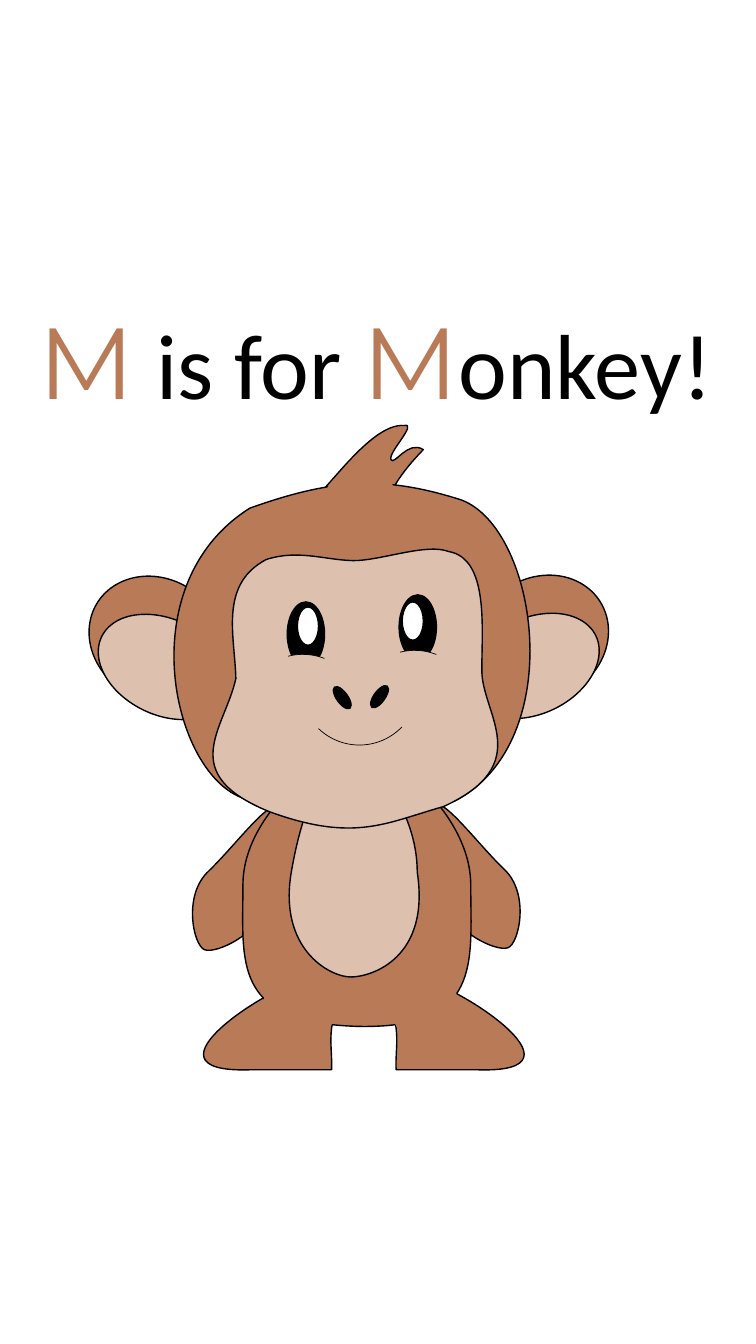
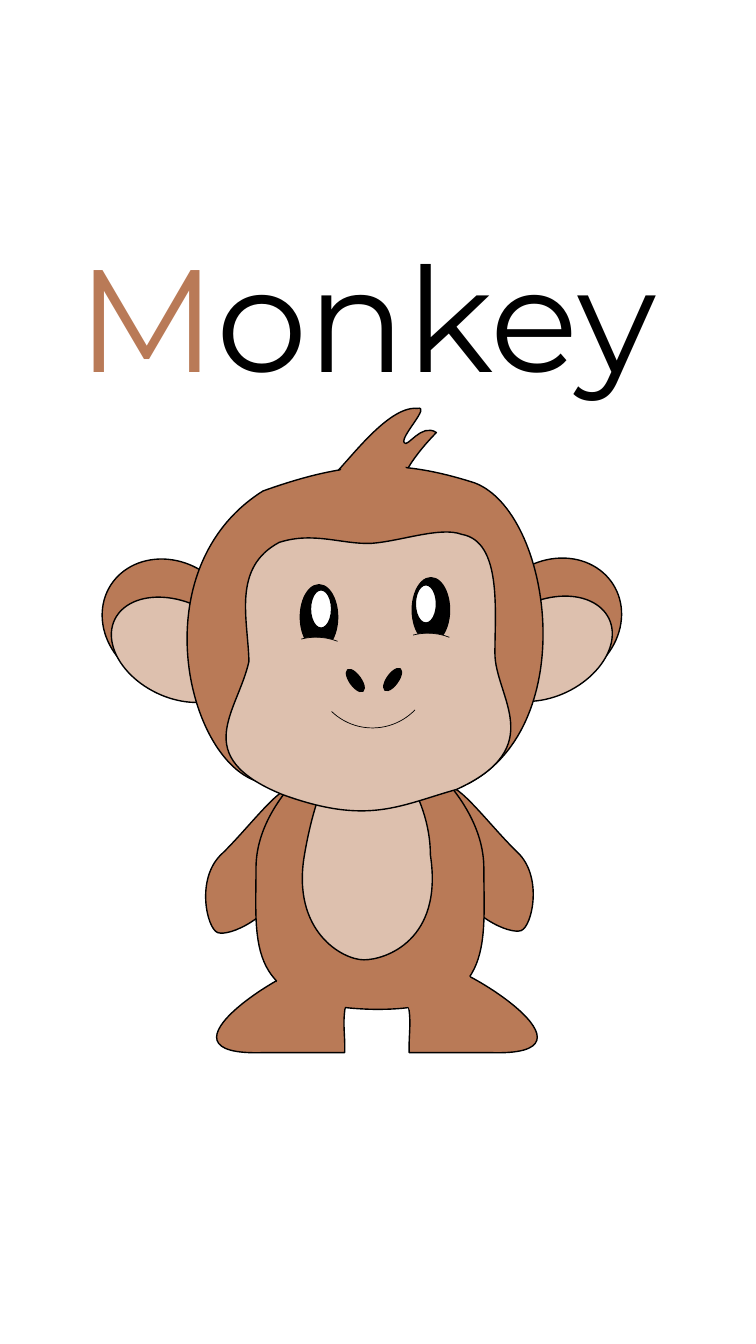
from dataclasses import dataclass
from itertools import islice
from typing import Any

from pptx import Presentation
from pptx.dml.color import RGBColor
from pptx.enum.shapes import MSO_SHAPE as SHAPE
from pptx.enum.text import MSO_AUTO_SIZE, PP_ALIGN
from pptx.oxml.xmlchemy import OxmlElement
from pptx.util import Inches, Pt

BROWN, TAN, BLACK, WHITE = "B97A57", "DDC0AE", "000000", "FFFFFF"
DISPLAY, BODY = "Montserrat", "Calibri"

# Outlines: a start point, then lines (x, y) or cubic curves (x1, y1, x2, y2, x, y).
ARM = [(5, 8.62), (4.74, 8.37, 4.42, 7.93, 4.3, 7.97), (4.19, 8.01, 4.11, 8.47, 4.32, 8.87),
       (4.52, 9.26, 4.92, 9.44, 5.04, 9.4), (5.15, 9.36, 5.26, 8.86, 5, 8.62)]
FOOT = [(4.21, 9.74), (3.83, 9.88), (3.99, 10.21, 3.92, 10.37, 3.93, 10.61), (4.72, 10.61),
        (5.97, 10.66, 4.41, 9.7, 4.21, 9.74)]
TORSO = [(2.41, 8.78), (2.41, 8, 3.37, 7.4, 3.54, 7.38), (3.71, 7.36, 4.67, 8, 4.67, 8.78),
         (4.67, 9.55, 4.79, 10.21, 3.54, 10.18), (2.3, 10.14, 2.41, 9.55, 2.41, 8.78)]
BELLY = [(2.89, 8.65), (3.02, 7.89, 3.27, 7.49, 3.48, 7.49), (3.69, 7.49, 4.14, 8.04, 4.14, 8.65),
         (4.27, 9.5, 3.69, 9.69, 3.48, 9.69), (3.27, 9.69, 2.76, 9.41, 2.89, 8.65)]
TUFT = [(3.1, 4.94), (3.2, 4.94, 3.67, 4.19, 4.01, 4.22), (4.15, 4.19, 3.84, 4.5, 3.88, 4.56),
        (3.91, 4.62, 4.05, 4.36, 4.2, 4.46), (4.12, 4.54, 3.9, 4.78, 3.86, 4.95),
        (4.04, 5.51), (3.1, 5.51)]
HEAD = [(2.48, 5.04), (3.32, 4.74, 3.83, 4.72, 4.58, 4.96), (5.34, 5.25, 5.64, 7.35, 4.52, 7.94),
        (3.89, 8.12, 3.57, 8.29, 2.62, 7.94), (1.8, 8.04, 1.17, 5.86, 2.48, 5.04)]
FACE = [(2.64, 5.55), (2.98, 5.44, 3.26, 5.57, 3.55, 5.56), (3.84, 5.54, 4.24, 5.39, 4.45, 5.47),
        (4.85, 5.54, 4.78, 6.22, 4.78, 6.65), (4.78, 7.08, 5.32, 7.58, 4.4, 8),
        (3.83, 8.16, 3.52, 8.36, 2.67, 8.05), (1.74, 7.67, 2.23, 7.23, 2.34, 6.73),
        (2.33, 6.31, 2.17, 5.8, 2.64, 5.55)]
# Unlined patches that hide the seams at the hair and the hips.
SEAMS = [
    [(3.2, 4.94), (3.28, 4.72, 3.43, 4.63, 3.7, 4.69), (3.97, 4.74, 3.98, 5, 3.9, 5.21),
     (3.82, 5.42, 3.59, 5.53, 3.4, 5.46), (3.21, 5.38, 3.12, 5.15, 3.2, 4.94)],
    [(2.63, 9.87), (2.71, 9.66, 2.86, 9.57, 3.12, 9.62), (3.37, 9.67, 3.38, 9.92, 3.3, 10.14),
     (3.22, 10.35, 3, 10.46, 2.82, 10.39), (2.63, 10.32, 2.55, 10.09, 2.63, 9.87)],
    [(4.53, 9.86), (4.44, 9.65, 4.3, 9.55, 4.06, 9.6), (3.82, 9.65, 3.82, 9.89, 3.9, 10.11),
     (3.98, 10.32, 4.19, 10.44, 4.36, 10.37), (4.54, 10.3, 4.61, 10.08, 4.53, 9.86)],
]


def rgb(color):
    return RGBColor.from_string(color)


def mirror(outline, axis, dy=0.0):
    """Reflect an outline about the vertical line x = axis, then lower it by dy."""
    return [tuple(v + dy if i % 2 else 2 * axis - v for i, v in enumerate(seg)) for seg in outline]


def bend(shape, outline):
    """Join the three lines that stand for each curve into one cubic curve."""
    lines = iter(shape._element.xpath(".//a:lnTo"))
    for seg in outline[1:]:
        group = list(islice(lines, len(seg) // 2))
        if len(group) == 3:
            curve = OxmlElement("a:cubicBezTo")
            group[0].addprevious(curve)
            for line in group:
                curve.append(line[0])
                line.getparent().remove(line)


def paint(shape, fill=None, line=1.0):
    shape.shadow.inherit = False
    if fill:
        shape.fill.solid()
        shape.fill.fore_color.rgb = rgb(fill)
    else:
        shape.fill.background()
    if line:
        shape.line.color.rgb = rgb(BLACK)
        shape.line.width = Pt(line)
    else:
        shape.line.fill.background()


@dataclass
class Pen:
    """Draws on one slide, with everything moved by dx and dy."""
    shapes: Any
    dx: float = 0.0
    dy: float = 0.0

    def outline(self, outline, fill, line=1.0):
        pts = [(Inches(x + self.dx), Inches(y + self.dy))
               for seg in outline for x, y in zip(seg[::2], seg[1::2])]
        builder = self.shapes.build_freeform(*pts[0])
        builder.add_line_segments(pts[1:], close=True)
        s = builder.convert_to_shape()
        bend(s, outline)
        paint(s, fill, line)

    def preset(self, kind, x, y, w, h, fill=None, line=1.0, rot=0.0, adj=()):
        s = self.shapes.add_shape(kind, Inches(x + self.dx), Inches(y + self.dy),
                                  Inches(w), Inches(h))
        s.rotation = rot
        for i, value in enumerate(adj):
            s.adjustments[i] = value
        paint(s, fill, line)

    def oval(self, x, y, w, h, fill, rot=0.0):
        self.preset(SHAPE.OVAL, x, y, w, h, fill, rot=rot)

    def arc(self, x, y, rot, fill=None, adj=()):
        self.preset(SHAPE.ARC, x, y, 1.17, 1.17, fill, 0.5, rot, adj)


def draw_monkey(pen):
    for limb in (ARM, FOOT, mirror(FOOT, 3.61), mirror(ARM, 3.535, 0.02), TORSO):
        pen.outline(limb, BROWN)
    pen.outline(BELLY, TAN)
    pen.outline(TUFT, BROWN)
    for outer_x, inner_x, y, side in ((0.86, 0.94, 5.74, 1), (4.68, 4.6, 5.73, -1)):
        pen.oval(outer_x, y, 1.38, 1.21, BROWN, 32.2 * side)
        pen.oval(inner_x, y + 0.4, 1.38, 0.95, TAN, 25.7 * side)
    pen.outline(HEAD, BROWN)
    pen.outline(FACE, TAN)
    for eye_x, eye_y, glint_x, glint_y in ((3.96, 5.9, 3.99, 5.97), (2.85, 5.97, 2.95, 6.02)):
        pen.oval(eye_x, eye_y, 0.37, 0.64, BLACK)
        pen.oval(glint_x, glint_y, 0.21, 0.38, WHITE)
    pen.oval(3.34, 6.79, 0.11, 0.26, BLACK, -35.9)
    pen.oval(3.71, 6.78, 0.11, 0.26, BLACK, 35.9)
    for seam in SEAMS:
        pen.outline(seam, BROWN, line=0)
    for lid_x, lid_y in ((3.53, 6.45), (2.42, 6.49)):
        pen.arc(lid_x, lid_y, 299.3, TAN, adj=(189.758, 211.298))
    pen.arc(2.98, 6.22, 133.9)


def add_text(shapes, runs, x, y, w, h, align=PP_ALIGN.LEFT):
    """Add one paragraph of (text, size, font, colour) runs."""
    tf = shapes.add_textbox(Inches(x), Inches(y), Inches(w), Inches(h)).text_frame
    tf.word_wrap = True
    tf.auto_size = MSO_AUTO_SIZE.SHAPE_TO_FIT_TEXT
    p = tf.paragraphs[0]
    p.alignment = align
    for text, size, font, color in runs:
        r = p.add_run()
        r.text = text
        r.font.size = Pt(size)
        r.font.name = font
        r.font.color.rgb = rgb(color)


def add_monkey_slide(prs, runs, box, align=PP_ALIGN.LEFT, dx=0.0, dy=0.0):
    shapes = prs.slides.add_slide(prs.slide_layouts[6]).shapes
    add_text(shapes, runs, *box, align=align)
    draw_monkey(Pen(shapes, dx, dy))


def main():
    prs = Presentation()
    prs.slide_width, prs.slide_height = Inches(7.5), Inches(13.33)
    initial = ("M", 72, DISPLAY, BROWN)
    sentence = [initial, (" is for ", 66, BODY, BLACK), initial, ("onkey! ", 66, BODY, BLACK)]
    add_monkey_slide(prs, sentence, (-0.98, 2.91, 9.62, 1.31), PP_ALIGN.CENTER)
    word = [("M", 104, DISPLAY, BROWN), ("onkey", 104, DISPLAY, BLACK)]
    add_monkey_slide(prs, word, (0.67, 2.2, 7.84, 1.85), dx=0.13, dy=-0.17)
    prs.save("out.pptx")


if __name__ == "__main__":
    main()
